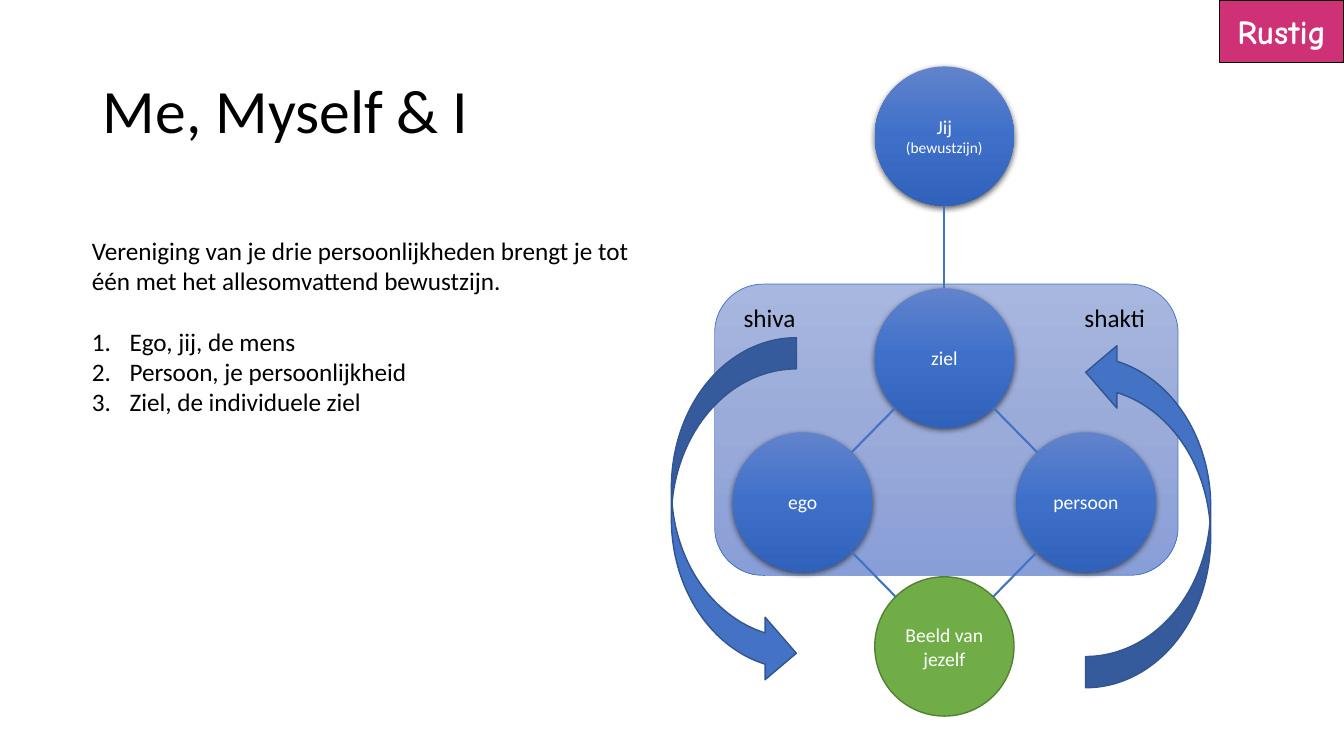
"""Build the slide 'Me, Myself & I' with its diagram of the three personalities."""
from copy import deepcopy
from math import hypot

from lxml import etree
from pptx import Presentation
from pptx.dml.color import RGBColor
from pptx.enum.shapes import MSO_CONNECTOR, MSO_SHAPE
from pptx.enum.text import MSO_ANCHOR, MSO_AUTO_SIZE, PP_ALIGN
from pptx.oxml.ns import qn
from pptx.util import Cm, Pt

RECTANGLE, ROUNDED = MSO_SHAPE.RECTANGLE, MSO_SHAPE.ROUNDED_RECTANGLE
OVAL, CURVED_ARROW = MSO_SHAPE.OVAL, MSO_SHAPE.CURVED_RIGHT_ARROW
STRAIGHT = MSO_CONNECTOR.STRAIGHT
MIDDLE, TOP = MSO_ANCHOR.MIDDLE, MSO_ANCHOR.TOP
LEFT, CENTER = PP_ALIGN.LEFT, PP_ALIGN.CENTER
NO_AUTOFIT = MSO_AUTO_SIZE.NONE

BLACK = RGBColor(0x00, 0x00, 0x00)
WHITE = RGBColor(0xFF, 0xFF, 0xFF)
PINK = RGBColor(0xCE, 0x31, 0x75)
BLUE = RGBColor(0x44, 0x72, 0xC4)
DARK_BLUE = RGBColor(0x32, 0x54, 0x91)
GREEN = RGBColor(0x70, 0xAD, 0x47)
DARK_GREEN = RGBColor(0x53, 0x80, 0x35)
PALE_BLUES = [RGBColor(0xA8, 0xB7, 0xDF), RGBColor(0x9A, 0xAB, 0xD9), RGBColor(0x88, 0x9E, 0xD7)]
DEEP_BLUES = [RGBColor(0x61, 0x83, 0xCB), RGBColor(0x3E, 0x70, 0xCA), RGBColor(0x30, 0x62, 0xBB)]

presentation = Presentation()
presentation.slide_width, presentation.slide_height = Cm(33.87), Cm(19.05)
slide = presentation.slides.add_slide(presentation.slide_layouts[1])


def add_filled_shape(kind, left, top, width, height, colors, line_color=None, line_width=1):
    shape = slide.shapes.add_shape(kind, Cm(left), Cm(top), Cm(width), Cm(height))
    shape.shadow.inherit = False
    if len(colors) == 1:
        shape.fill.solid()
        shape.fill.fore_color.rgb = colors[0]
    else:
        shape.fill.gradient()
        shape.fill.gradient_angle = 270
        stop_list = shape._element.spPr.find(".//" + qn("a:gsLst"))
        stop_list.insert(1, deepcopy(stop_list[0]))
        for stop, position, color in zip(shape.fill.gradient_stops, (0, 0.5, 1), colors):
            stop.position = position
            stop.color.rgb = color
    if line_color is None:
        shape.line.fill.background()
    else:
        shape.line.color.rgb = line_color
        shape.line.width = Pt(line_width)
    return shape


def format_text(paragraph, size, color, alignment=LEFT, font_name="Calibri"):
    paragraph.alignment = alignment
    for run in paragraph.runs:
        run.font.name = font_name
        run.font.size = Pt(size)
        run.font.color.rgb = color


title = slide.shapes.title
title.left, title.top, title.width, title.height = Cm(2.34), Cm(1.02), Cm(29.21), Cm(3.68)
title.text_frame.text = "Me, Myself & I"
title.text_frame.vertical_anchor = MIDDLE
title.text_frame.auto_size = NO_AUTOFIT
title.text_frame.paragraphs[0].line_spacing = 0.9
format_text(title.text_frame.paragraphs[0], 44, BLACK)

body = slide.placeholders[1]
body.left, body.top, body.width, body.height = Cm(2.06), Cm(5.79), Cm(14.35), Cm(6.4)
body.text_frame.text = "\n".join([
    "Vereniging van je drie persoonlijkheden brengt je tot één met het allesomvattend bewustzijn.",
    "Ego, jij, de mens",
    "Persoon, je persoonlijkheid",
    "Ziel, de individuele ziel",
])
body.text_frame.vertical_anchor = TOP
body.text_frame.auto_size = NO_AUTOFIT
for number, paragraph in enumerate(body.text_frame.paragraphs):
    format_text(paragraph, 18, BLACK)
    paragraph.space_before = Pt(22 if number == 1 else 0)
    properties = paragraph._p.get_or_add_pPr()
    indent = Cm(0.95) if number else 0
    properties.set("marL", str(indent))
    properties.set("indent", str(-indent))
    if number:
        etree.SubElement(properties, qn("a:buFont"), typeface="+mj-lt")
        etree.SubElement(properties, qn("a:buAutoNum"), type="arabicPeriod")
    else:
        etree.SubElement(properties, qn("a:buNone"))

name_tag = add_filled_shape(RECTANGLE, 30.73, 0, 3.14, 1.57, [PINK], BLACK)
name_tag.text_frame.text = "Rustig"
format_text(name_tag.text_frame.paragraphs[0], 24, WHITE, CENTER, "Comic Neue")
name_tag.text_frame.paragraphs[0].runs[0].font.bold = True

add_filled_shape(ROUNDED, 18.01, 7.16, 11.68, 7.34, PALE_BLUES, BLUE, 0.5)

DIAMETER = 3.51
AXIS, SPREAD = 23.8, 3.57
centers = {
    "Jij ": (AXIS, 3.43),
    "ziel": (AXIS, 9.02),
    "ego": (AXIS - SPREAD, 12.65),
    "persoon": (AXIS + SPREAD, 12.65),
    "Beeld van jezelf": (AXIS, 16.29),
}
for name, (x, y) in centers.items():
    is_image = name == "Beeld van jezelf"
    circle = add_filled_shape(OVAL, x - DIAMETER / 2, y - DIAMETER / 2, DIAMETER, DIAMETER,
                              [GREEN] if is_image else DEEP_BLUES,
                              DARK_GREEN if is_image else None)
    circle.text_frame.text = name
    paragraph = circle.text_frame.paragraphs[0]
    if name == "Jij ":
        paragraph.add_run().text = "(bewustzijn)"
    format_text(paragraph, 14, WHITE, CENTER)
    for run in paragraph.runs[1:]:
        run.font.size = Pt(11)
    if not is_image:
        effects = circle._element.spPr.find(qn("a:effectLst"))
        shadow = etree.SubElement(effects, qn("a:outerShdw"), blurRad=str(Pt(4.5)),
                                  dist=str(Pt(1.5)), dir="5400000", algn="ctr", rotWithShape="0")
        shadow_color = etree.SubElement(shadow, qn("a:srgbClr"), val=str(BLACK))
        etree.SubElement(shadow_color, qn("a:alpha"), val="63000")

for start, end in [("Jij ", "ziel"), ("ziel", "ego"), ("ziel", "persoon"),
                   ("ego", "Beeld van jezelf"), ("persoon", "Beeld van jezelf")]:
    (x1, y1), (x2, y2) = centers[start], centers[end]
    share = DIAMETER / 2 / hypot(x2 - x1, y2 - y1)
    dx, dy = share * (x2 - x1), share * (y2 - y1)
    connector = slide.shapes.add_connector(STRAIGHT, Cm(x1 + dx), Cm(y1 + dy),
                                           Cm(x2 - dx), Cm(y2 - dy))
    connector.line.color.rgb = BLUE
    connector.line.width = Pt(1.5)
    etree.SubElement(connector._element.spPr, qn("a:effectLst"))

for label, label_left, label_width, arrow_left, arrow_top, rotation in [
    ("shiva", 18.49, 1.83, 16.92, 8.51, 0),
    ("shakti", 27.08, 2.06, 27.36, 8.59, 180),
]:
    arrow = add_filled_shape(CURVED_ARROW, arrow_left, arrow_top, 3.15, 8.74, [BLUE], DARK_BLUE)
    arrow.rotation = rotation
    text_box = slide.shapes.add_textbox(Cm(label_left), Cm(7.49), Cm(label_width), Cm(1.02))
    text_box.text_frame.text = label
    text_box.text_frame.word_wrap = False
    format_text(text_box.text_frame.paragraphs[0], 18, BLACK)

presentation.save("out.pptx")
